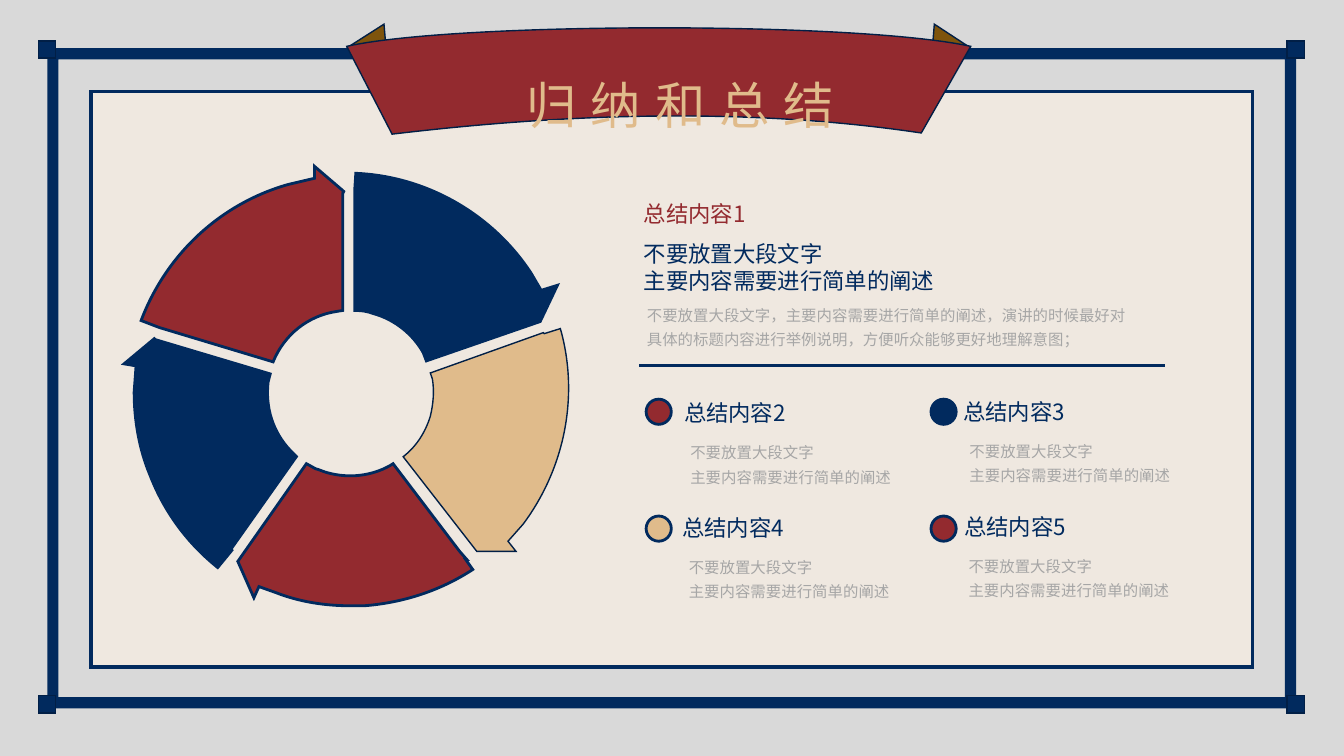
from dataclasses import dataclass

import lxml.etree
import pptx
import pptx.dml.color
import pptx.enum.shapes
import pptx.enum.text
import pptx.oxml.ns
import pptx.slide
import pptx.util

Pt = pptx.util.Pt
RGBColor = pptx.dml.color.RGBColor
SHAPE = pptx.enum.shapes.MSO_SHAPE
ALIGN = pptx.enum.text.PP_ALIGN
qn = pptx.oxml.ns.qn
SubElement = lxml.etree.SubElement

NAVY = RGBColor(0x01, 0x2A, 0x5E)
DARK_NAVY = RGBColor(0x01, 0x1F, 0x46)
RED = RGBColor(0x93, 0x2A, 0x2F)
TAN = RGBColor(0xE0, 0xBB, 0x8B)
BROWN = RGBColor(0x7E, 0x54, 0x0C)
CREAM = RGBColor(0xEF, 0xE8, 0xE0)
LIGHT_GRAY = RGBColor(0xD9, 0xD9, 0xD9)
TEXT_GRAY = RGBColor(0xA6, 0xA6, 0xA6)

FONT = "Noto Sans CJK SC"
CURVE_STEPS = 16
SHORT_TEXT = "不要放置大段文字\n主要内容需要进行简单的阐述"
LONG_TEXT = ("不要放置大段文字，主要内容需要进行简单的阐述，演讲的时候最好对"
             "具体的标题内容进行举例说明，方便听众能够更好地理解意图；")


@dataclass
class Outline:
    """A closed outline: 2 numbers are a line end, 6 numbers a cubic curve."""
    fill: RGBColor
    line: RGBColor
    width: float
    steps: list[tuple[float, ...]]


@dataclass
class Topic:
    title: str
    color: RGBColor
    dot_x: float
    dot_y: float
    title_x: float
    title_y: float
    body_x: float
    body_y: float


@dataclass
class Style:
    size: float
    color: RGBColor
    align: ALIGN = ALIGN.LEFT
    line_spacing: float = 1.0
    wrap: bool = True
    tracking: float = 0


TITLE = Style(36, TAN, ALIGN.CENTER, tracking=10)
HEADING = Style(16, NAVY, ALIGN.CENTER, wrap=False)
RED_HEADING = Style(16, RED, ALIGN.CENTER, wrap=False)
LEAD = Style(16, NAVY)
BODY = Style(11, TEXT_GRAY, line_spacing=1.3)

RIBBON = [
    Outline(BROWN, DARK_NAVY, 1, [(248.4, 33.8), (274.3, 17.3), (276.5, 43.2)]),
    Outline(BROWN, DARK_NAVY, 1, [(692.6, 33.8), (667.4, 17.3), (665.3, 43.2)]),
    Outline(RED, DARK_NAVY, 1, [
        (247.7, 33.1), (280.1, 95.8), (371.5, 85, 514.1, 73.4, 658.1, 95),
        (693.4, 33.1), (611.3, 15.1, 324, 15.8, 247.7, 33.1)]),
]

RING = [
    # Bottom
    Outline(RED, NAVY, 2, [
        (218.9, 331.2), (225.4, 334.8), (228.2, 335.5, 231.1, 337, 234, 337.7),
        (249.8, 342, 265.7, 339.8, 278.6, 332.6), (280.8, 331.2), (328.3, 393.8),
        (333.4, 399.6), (332.6, 399.6), (337.7, 406.8),
        (314.6, 421.9, 288, 430.6, 259.9, 432.7), (250.6, 432.7),
        (231.8, 432.7, 213.8, 429.8, 197.3, 423.4), (185, 419), (181.4, 427),
        (169.9, 401)]),
    # Left
    Outline(NAVY, NAVY, 2, [
        (110.2, 241.9), (110.9, 242.6), (193, 267.1), (191.5, 272.9),
        (189.4, 291.6, 195.1, 308.9, 207.4, 321.8), (211.7, 326.2), (164.9, 392.4),
        (165.6, 393.1), (155.5, 405.4), (133.9, 388.1, 117.4, 365.8, 107.3, 339.8),
        (99.4, 321.1, 95.8, 300.2, 95.8, 280.1), (97.2, 261.4), (88.6, 259.9)]),
    # Top right
    Outline(NAVY, NAVY, 2, [
        (254.2, 123.8), (305.3, 126, 352.1, 153.4, 379.4, 195.1), (386.6, 207.4),
        (398.2, 203.8), (385.9, 229.7), (304.6, 257.8), (302.4, 252),
        (295.2, 239, 282.2, 228.2, 266.4, 223.9),
        (262.8, 222.5, 258.5, 221.8, 254.9, 221.8), (253.4, 221.8), (253.4, 136.1)]),
    # Top left
    Outline(RED, NAVY, 2, [
        (224.6, 118.8), (244.8, 136.1), (245.5, 136.8), (244.8, 138.2),
        (244.8, 221.8), (240.5, 222.5), (220.3, 225.4, 203, 239, 195.1, 258.5),
        (113.8, 234), (100.8, 229), (118.8, 181.4, 157.7, 145.4, 205.9, 131.8),
        (224.6, 127.4)]),
    # Right
    Outline(TAN, DARK_NAVY, 1, [
        (400.3, 234.7), (414, 283, 403.2, 334.8, 373.7, 374.4), (362.9, 386.6),
        (368.6, 393.8), (340.6, 393.8), (288, 326.2),
        (297.4, 319, 303.8, 308.9, 307.4, 297.4),
        (309.6, 288, 310.3, 279.4, 308.9, 270.7), (307.4, 266.4), (388.1, 237.6),
        (388.8, 238.3)]),
]

TOPICS = [
    Topic("总结内容2", RED, 461.5, 285.1, 478.8, 281.5, 486, 309.4),
    Topic("总结内容3", NAVY, 665, 285.1, 678.2, 280.8, 685.4, 308.5),
    Topic("总结内容4", TAN, 461.5, 368.6, 477.4, 363.6, 484.9, 391.4),
    Topic("总结内容5", RED, 665, 368.6, 679, 362.9, 684.7, 390.6),
]


def paint(sp, fill: RGBColor, line: RGBColor | None, width: float) -> None:
    sp.shadow.inherit = False
    sp.fill.solid()
    sp.fill.fore_color.rgb = fill
    if line is None:
        sp.line.fill.background()
        return
    sp.line.color.rgb = line
    sp.line.width = Pt(width)
    SubElement(sp._element.spPr.find(qn("a:ln")), qn("a:miter")).set("lim", "800000")


def add_preset(s: pptx.slide.Slide, kind: SHAPE, x: float, y: float, w: float, h: float,
               fill: RGBColor, line: RGBColor | None = None, width: float = 1):
    sp = s.shapes.add_shape(kind, Pt(x), Pt(y), Pt(w), Pt(h))
    paint(sp, fill, line, width)
    return sp


def flatten(steps: list[tuple[float, ...]]) -> list[tuple[float, float]]:
    points = [steps[0]]
    for step in steps[1:]:
        if len(step) == 2:
            points.append(step)
            continue
        controls = [points[-1], step[:2], step[2:4], step[4:]]
        for i in range(1, CURVE_STEPS + 1):
            t = i / CURVE_STEPS
            weights = ((1 - t) ** 3, 3 * t * (1 - t) ** 2, 3 * t * t * (1 - t), t ** 3)
            points.append(tuple(sum(w * c[axis] for w, c in zip(weights, controls))
                                for axis in (0, 1)))
    return points


def add_outline(s: pptx.slide.Slide, outline: Outline) -> None:
    # The flattened points give the bounds; true curves then replace them
    points = [(Pt(x), Pt(y)) for x, y in flatten(outline.steps)]
    builder = s.shapes.build_freeform(*points[0])
    builder.add_line_segments(points[1:], close=True)
    sp = builder.convert_to_shape()
    geometry = next(sp._element.iter(qn("a:path")))
    for child in list(geometry):
        geometry.remove(child)
    for i, step in enumerate(outline.steps):
        tag = "a:moveTo" if i == 0 else "a:lnTo" if len(step) == 2 else "a:cubicBezTo"
        command = SubElement(geometry, qn(tag))
        for x, y in zip(step[::2], step[1::2]):
            pt = SubElement(command, qn("a:pt"))
            pt.set("x", str(Pt(x) - sp.left))
            pt.set("y", str(Pt(y) - sp.top))
    SubElement(geometry, qn("a:close"))
    paint(sp, outline.fill, outline.line, outline.width)


def add_text(s: pptx.slide.Slide, text: str, x: float, y: float, w: float, h: float,
             style: Style) -> None:
    tf = s.shapes.add_textbox(Pt(x), Pt(y), Pt(w), Pt(h)).text_frame
    tf.word_wrap = style.wrap
    tf.auto_size = pptx.enum.text.MSO_AUTO_SIZE.SHAPE_TO_FIT_TEXT
    tf.text = text
    for p in tf.paragraphs:
        p.alignment = style.align
        p.line_spacing = style.line_spacing
        for r in p.runs:
            r.font.size = Pt(style.size)
            r.font.color.rgb = style.color
            r.font.name = FONT
            props = r.font._element
            SubElement(props, qn("a:ea")).set("typeface", FONT)
            if style.tracking:
                props.set("spc", str(int(style.tracking * 100)))


def main() -> None:
    prs = pptx.Presentation()
    prs.slide_width, prs.slide_height = Pt(960), Pt(540)
    s = prs.slides.add_slide(prs.slide_layouts[6])

    # Backdrop, border with corner blocks, and panel
    add_preset(s, SHAPE.RECTANGLE, 0, 0, 960, 540, LIGHT_GRAY)
    border = add_preset(s, SHAPE.FRAME, 33.8, 34.4, 892.1, 471.6, NAVY)
    border.adjustments[0] = 0.017
    for x in (27.4, 919.4):
        for y in (29.2, 496.8):
            add_preset(s, SHAPE.RECTANGLE, x, y, 12.4, 12.4, NAVY, DARK_NAVY)
    add_preset(s, SHAPE.RECTANGLE, 65, 65.3, 829.4, 411.1, CREAM, NAVY, 2.25)

    # Title ribbon
    for outline in RIBBON:
        add_outline(s, outline)
    add_text(s, "归纳和总结", 185.8, 49.7, 600.5, 49, TITLE)

    # First topic
    add_text(s, "总结内容1", 450, 139.7, 92.2, 26.6, RED_HEADING)
    add_text(s, LONG_TEXT, 455, 211.3, 361.4, 40.3, BODY)
    add_text(s, SHORT_TEXT, 452.9, 167.8, 331.9, 46, LEAD)

    # Other topics
    for topic in TOPICS:
        add_text(s, topic.title, topic.title_x, topic.title_y, 92.2, 26.6, HEADING)
        add_text(s, SHORT_TEXT, topic.body_x, topic.body_y, 193.7, 40.3, BODY)
        add_preset(s, SHAPE.OVAL, topic.dot_x, topic.dot_y, 18, 18, topic.color, NAVY, 2)

    # Arrow ring
    add_preset(s, SHAPE.OVAL, 275.8, 157, 64.8, 64.8, NAVY, DARK_NAVY)
    for outline in RING:
        add_outline(s, outline)

    # Divider
    divider = s.shapes.add_connector(pptx.enum.shapes.MSO_CONNECTOR.STRAIGHT,
                                     Pt(456.5), Pt(261.2), Pt(832), Pt(261.2))
    divider.line.color.rgb = NAVY
    divider.line.width = Pt(2)
    SubElement(divider._element.spPr, qn("a:effectLst"))

    prs.save("out.pptx")


if __name__ == "__main__":
    main()
